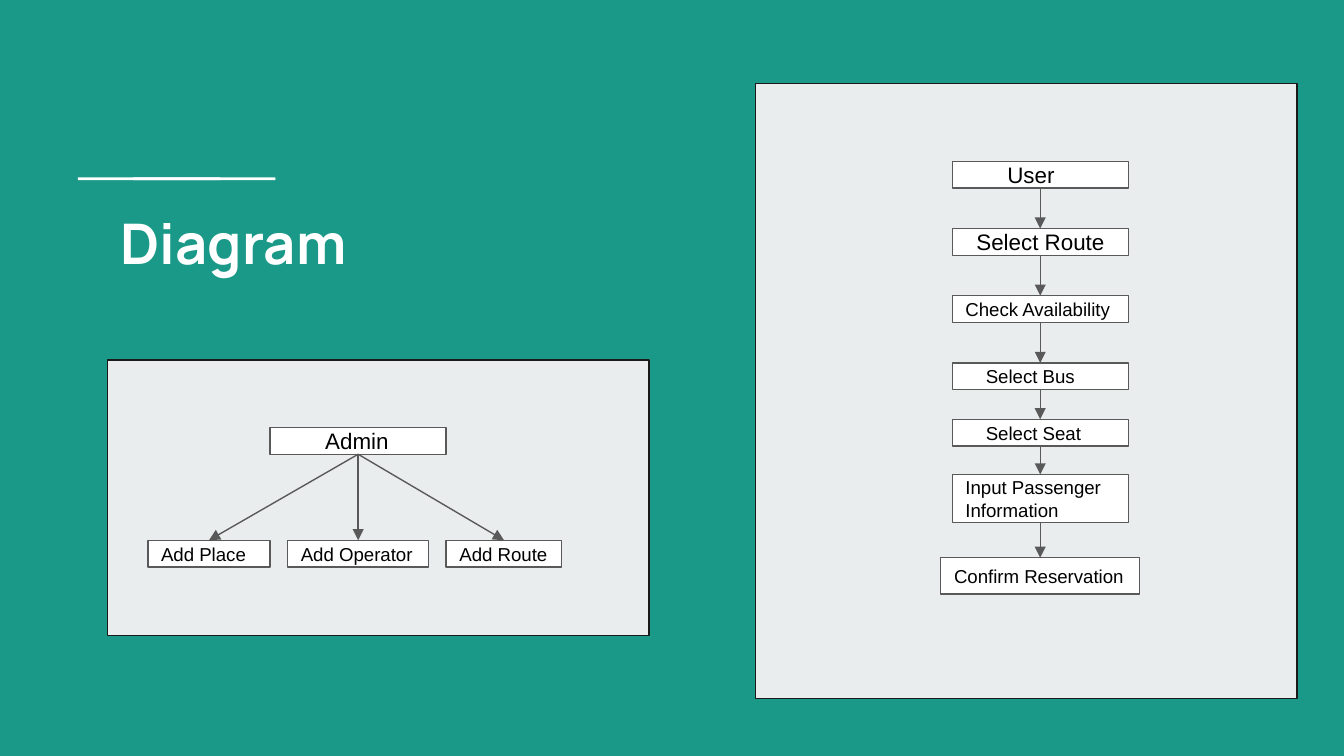
from lxml import etree
from pptx import Presentation
from pptx.dml.color import RGBColor
from pptx.enum import shapes, text
from pptx.oxml import ns
from pptx.util import Inches, Pt

THEME = {
    "back": "1A9988", "panel": "E9EDEE", "edge": "1A1A1A", "line": "595959",
    "white": "FFFFFF", "ink": "000000",
    "head": 30, "large": 12, "small": 10,
    "title": "Manrope", "body": "Arial",
}
TITLE = "Diagram"
BARS = [0.58, 0.99]
PANELS = [(0.8, 2.68, 4.03, 2.05), (5.62, 0.62, 4.03, 4.58)]
ADMIN = ("Admin", 2.01, 3.18, 1.31, 0.2, "large", 0.31)
TASKS = [("Add Place", 1.1, 0.91), ("Add Operator", 2.14, 1.05), ("Add Route", 3.32, 0.86)]
TASK_TOP = 4.02
MID = 7.74
STEPS = [
    ("User", 1.2, 1.31, 0.2, "large", 0.31),
    ("Select Route", 1.7, 1.31, 0.2, "large", 0.08),
    ("Check Availability", 2.2, 1.31, 0.2, "small", 0),
    ("Select Bus", 2.7, 1.31, 0.2, "small", 0.15),
    ("Select Seat", 3.12, 1.31, 0.2, "small", 0.15),
    ("Input Passenger Information", 3.53, 1.31, 0.36, "small", 0),
    ("Confirm Reservation", 4.15, 1.48, 0.27, "small", 0),
]
KIND = shapes.MSO_SHAPE

deck = Presentation()
deck.slide_width = Inches(10)
deck.slide_height = deck.slide_width * 9 // 16
slide = deck.slides.add_slide(deck.slide_layouts[6])


def paint(name):
    return RGBColor.from_string(THEME[name])


def block(x, y, w, h, fill, line=None, kind=KIND.RECTANGLE):
    item = slide.shapes.add_shape(kind, *map(Inches, (x, y, w, h)))
    item.shadow.inherit = False
    item.fill.solid()
    item.fill.fore_color.rgb = paint(fill)
    if line:
        item.line.color.rgb = paint(line)
        item.line.width = Pt(0.75)
    else:
        item.line.fill.background()
    return item


def write(item, words, size="small", font="body", color="ink", bold=False,
          indent=0, anchor=text.MSO_ANCHOR.MIDDLE):
    frame = item.text_frame
    frame.word_wrap = True
    frame.vertical_anchor = anchor
    frame.margin_left = Inches(0.1 + indent)
    frame.margin_right = frame.margin_top = frame.margin_bottom = Inches(0.1)
    para = frame.paragraphs[0]
    para.alignment = text.PP_ALIGN.LEFT
    run = para.add_run()
    run.text = words
    run.font.size = Pt(THEME[size])
    run.font.name = THEME[font]
    run.font.bold = bold
    run.font.color.rgb = paint(color)


def node(words, x, y, w, h=0.2, size="small", indent=0):
    item = block(x, y, w, h, "white", "line", KIND.FLOWCHART_PROCESS)
    write(item, words, size=size, indent=indent)
    return item


def arrow(start, end):
    link = slide.shapes.add_connector(shapes.MSO_CONNECTOR.STRAIGHT, 0, 0, 0, 0)
    link.begin_connect(start, 2)
    link.end_connect(end, 0)
    link.line.color.rgb = paint("line")
    link.line.width = Pt(0.75)
    edge = link._element.spPr.find(ns.qn("a:ln"))
    etree.SubElement(edge, ns.qn("a:tailEnd"), type="triangle")
    etree.SubElement(link._element.spPr, ns.qn("a:effectLst"))


slide.background.fill.solid()
slide.background.fill.fore_color.rgb = paint("back")
for x in BARS:
    block(x, 1.32, 1.06, 0.02, "white")
title = slide.shapes.add_textbox(*map(Inches, (0.8, 1.45, 8.41, 1.66)))
write(title, TITLE, size="head", font="title", color="white", bold=True,
      anchor=text.MSO_ANCHOR.TOP)
for panel in PANELS:
    block(*panel, "panel", "edge")

admin = node(*ADMIN)
for words, x, w in TASKS:
    arrow(admin, node(words, x, TASK_TOP, w))

steps = [node(words, MID - w / 2, y, w, h, size, indent)
         for words, y, w, h, size, indent in STEPS]
for start, end in zip(steps, steps[1:]):
    arrow(start, end)

deck.save("out.pptx")
